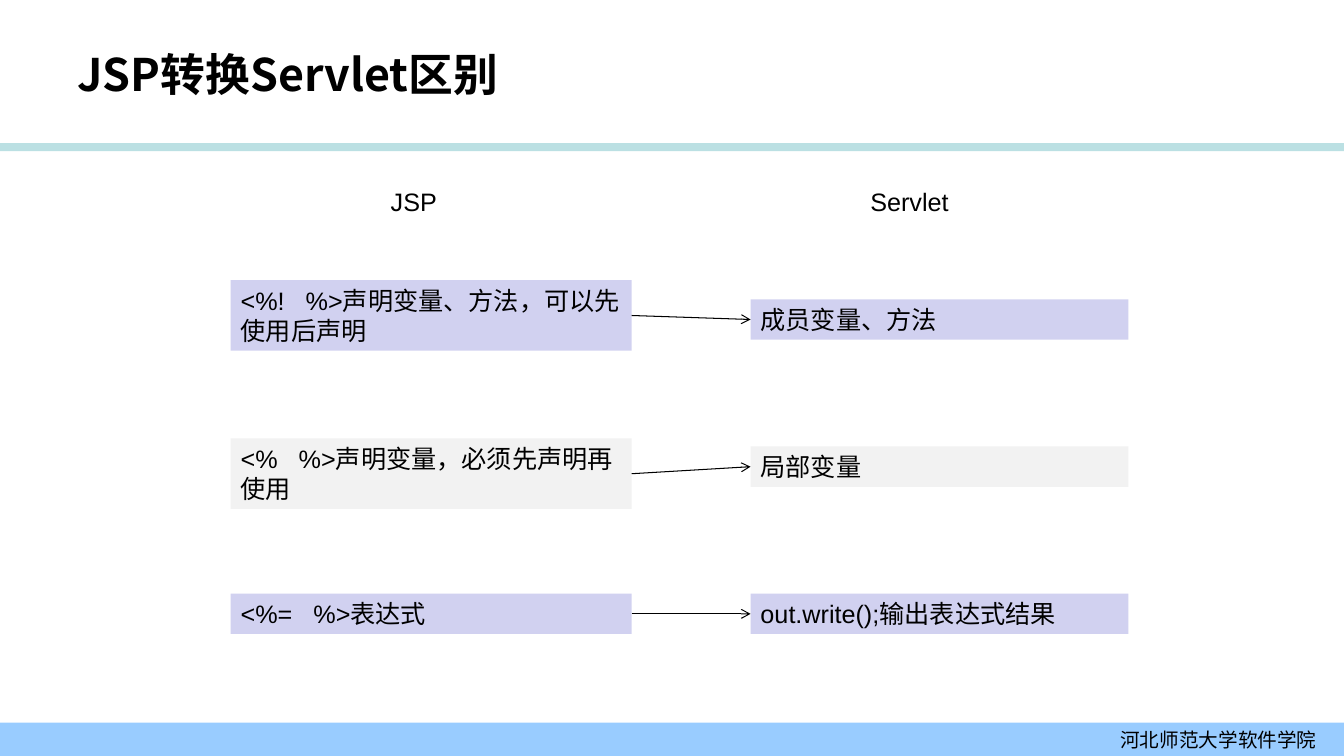
from lxml.etree import SubElement
from pptx import Presentation
from pptx.dml.color import RGBColor
from pptx.enum.shapes import MSO_CONNECTOR as CONN, MSO_SHAPE as SHAPE
from pptx.enum.text import MSO_ANCHOR as ANCHOR, PP_ALIGN as ALIGN
from pptx.oxml.ns import qn
from pptx.util import Inches, Pt

CJK = "Noto Sans CJK SC"
LILAC, GREY = "D1D1F0", "F2F2F2"


def color(value):
    return RGBColor.from_string(value)


def write(sp, text, size=18, font="Arial", bold=False, align=ALIGN.LEFT,
          anchor=ANCHOR.TOP, right=0.1):
    tf = sp.text_frame
    tf.word_wrap = True
    tf.vertical_anchor = anchor
    tf.margin_right = Inches(right)
    p = tf.paragraphs[0]
    p.alignment = align
    r = p.add_run()
    r.text = text
    r.font.size = Pt(size)
    r.font.bold = bold
    r.font.color.rgb = color("000000")
    r.font.name = font
    # East Asian typeface for the Chinese characters
    SubElement(r.font._element, qn("a:ea"), typeface=CJK)


class SlideBuilder:
    def __init__(self, s):
        self.s = s

    def label(self, text, x, y, w, h, **fmt):
        sp = self.s.shapes.add_textbox(*map(Inches, (x, y, w, h)))
        write(sp, text, **fmt)

    def box(self, x, y, w, h, fill, text="", **fmt):
        sp = self.s.shapes.add_shape(SHAPE.RECTANGLE, *map(Inches, (x, y, w, h)))
        sp.shadow.inherit = False
        sp.fill.solid()
        sp.fill.fore_color.rgb = color(fill)
        sp.line.fill.background()
        if text:
            write(sp, text, **fmt)
        return sp

    def arrow(self, start, end):
        c = self.s.shapes.add_connector(CONN.STRAIGHT, 0, 0, 0, 0)
        c.begin_connect(start, 3)
        c.end_connect(end, 1)
        c.line.width = Pt(0.75)
        c.line.color.rgb = color("000000")
        SubElement(c.line._get_or_add_ln(), qn("a:tailEnd"), type="arrow")
        SubElement(c._element.spPr, qn("a:effectLst"))


def main():
    prs = Presentation()
    prs.slide_width, prs.slide_height = Inches(13.34), Inches(7.5)
    slide = SlideBuilder(prs.slides.add_slide(prs.slide_layouts[6]))

    # Header rule and footer band
    slide.box(0, 1.42, 13.34, 0.08, "BBE0E3")
    slide.box(0, 7.17, 13.34, 0.33, "99CCFF", "河北师范大学软件学院", size=14,
              font=CJK, align=ALIGN.RIGHT, anchor=ANCHOR.MIDDLE, right=0.27)

    # Title and column headings
    slide.label("JSP转换Servlet区别", 0.67, 0.3, 10.67, 0.87, size=32,
                font=CJK, bold=True, anchor=ANCHOR.MIDDLE)
    slide.label("JSP", 3.78, 1.8, 1.8, 0.4)
    slide.label("Servlet", 8.54, 1.8, 1.56, 0.4)

    # JSP element on the left, its Servlet counterpart on the right
    rows = [
        (LILAC, "<%!   %>声明变量、方法，可以先使用后声明", 2.78, 0.7,
         "成员变量、方法", 2.97),
        (GREY, "<%   %>声明变量，必须先声明再使用", 4.35, 0.7,
         "局部变量", 4.43),
        (LILAC, "<%=   %>表达式", 5.89, 0.4,
         "out.write();输出表达式结果", 5.89),
    ]
    for fill, jsp_text, jsp_y, jsp_h, servlet_text, servlet_y in rows:
        jsp = slide.box(2.29, jsp_y, 3.98, jsp_h, fill, jsp_text)
        servlet = slide.box(7.45, servlet_y, 3.75, 0.4, fill, servlet_text)
        slide.arrow(jsp, servlet)

    prs.save("out.pptx")


if __name__ == "__main__":
    main()
